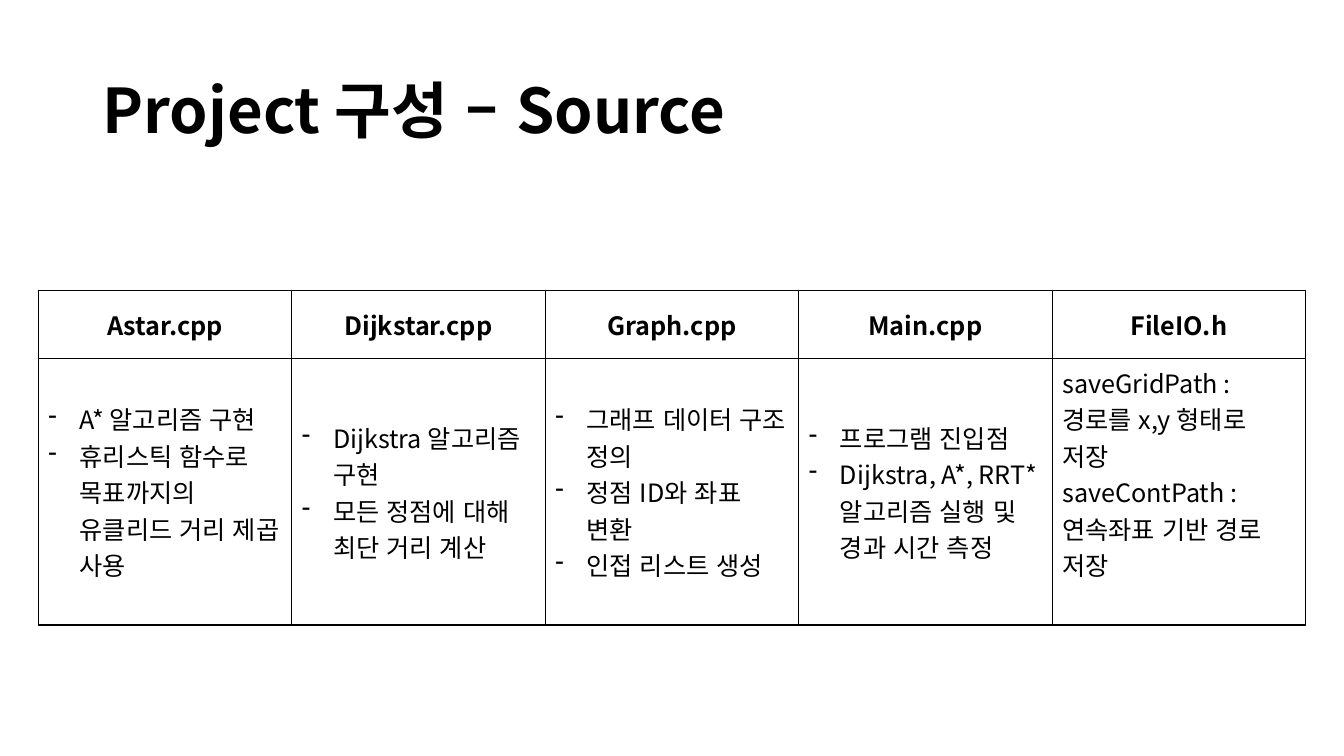
import pptx
import pptx.dml.color
import pptx.enum.lang
import pptx.enum.text
import pptx.oxml.ns
import pptx.util
from lxml import etree

Inches = pptx.util.Inches
Pt = pptx.util.Pt
ALIGN = pptx.enum.text.PP_ALIGN
ANCHOR = pptx.enum.text.MSO_ANCHOR

SOURCES = {
    "Astar.cpp": ["A* 알고리즘 구현", "휴리스틱 함수로 목표까지의 유클리드 거리 제곱 사용"],
    "Dijkstar.cpp": ["Dijkstra 알고리즘 구현", "모든 정점에 대해 최단 거리 계산"],
    "Graph.cpp": ["그래프 데이터 구조 정의", "정점 ID와 좌표 변환", "인접 리스트 생성"],
    "Main.cpp": ["프로그램 진입점", "Dijkstra, A*, RRT* 알고리즘 실행 및 경과 시간 측정"],
    "FileIO.h": ["saveGridPath : 경로를 x,y 형태로 저장", "saveContPath : 연속좌표 기반 경로 저장"],
}
PLAIN_SOURCE = "FileIO.h"


def color(value):
    return pptx.dml.color.RGBColor.from_string(value)


def add_element(parent, tag, **attributes):
    return etree.SubElement(parent, pptx.oxml.ns.qn(tag), attributes)


class SourceSlide:
    font_name = "Noto Sans CJK KR"
    ink = "000000"
    indent = Inches(0.31)

    def __init__(self, presentation):
        self.slide = presentation.slides.add_slide(presentation.slide_layouts[6])

    def add_text(self, frame, lines, size=18, bold=False, align=ALIGN.LEFT, spacing=1.0, bullet=None):
        frame.word_wrap = True
        for index, line in enumerate(lines):
            paragraph = frame.add_paragraph() if index else frame.paragraphs[0]
            paragraph.alignment = align
            paragraph.line_spacing = spacing
            if bullet:
                properties = paragraph._p.get_or_add_pPr()
                properties.set("marL", str(self.indent))
                properties.set("indent", str(-self.indent))
                add_element(properties, "a:buFontTx")
                add_element(properties, "a:buChar", char=bullet)
            run = paragraph.add_run()
            run.text = line
            run.font.size = Pt(size)
            run.font.bold = bold
            run.font.color.rgb = color(self.ink)
            run.font.name = self.font_name
            run.font.language_id = pptx.enum.lang.MSO_LANGUAGE_ID.KOREAN
            add_element(run._r.get_or_add_rPr(), "a:ea", typeface=self.font_name)

    def title(self, text, left, top, width, height):
        box = self.slide.shapes.add_textbox(Inches(left), Inches(top), Inches(width), Inches(height))
        box.text_frame.vertical_anchor = ANCHOR.MIDDLE
        self.add_text(box.text_frame, [text], size=44, bold=True, spacing=0.9)

    def cell(self, cell, lines, anchor=ANCHOR.MIDDLE, **text_format):
        self.add_text(cell.text_frame, lines, **text_format)
        cell.vertical_anchor = anchor
        properties = cell._tc.get_or_add_tcPr()
        for side in ("L", "R", "T", "B"):
            border = add_element(properties, f"a:ln{side}", w=str(Pt(1)))
            add_element(add_element(border, "a:solidFill"), "a:srgbClr", val=self.ink)
        cell.fill.background()

    def table(self, sources, left, top, width, row_heights):
        frame = self.slide.shapes.add_table(
            len(row_heights), len(sources), Inches(left), Inches(top),
            Inches(width), Inches(sum(row_heights)))
        table = frame.table
        for row, height in zip(table.rows, row_heights):
            row.height = Inches(height)
        for column, (name, lines) in enumerate(sources.items()):
            plain = name == PLAIN_SOURCE
            self.cell(table.cell(0, column), [name], bold=True, align=ALIGN.CENTER)
            self.cell(table.cell(1, column), lines,
                      anchor=ANCHOR.TOP if plain else ANCHOR.MIDDLE,
                      bullet=None if plain else "-")


def main():
    presentation = pptx.Presentation()
    presentation.slide_width = Inches(13.33)
    presentation.slide_height = Inches(7.5)
    slide = SourceSlide(presentation)
    slide.title("Project 구성 – Source", 0.92, 0.4, 11.5, 1.45)
    slide.table(SOURCES, 0.38, 2.88, 12.57, [0.68, 2.64])
    presentation.save("out.pptx")


if __name__ == "__main__":
    main()
